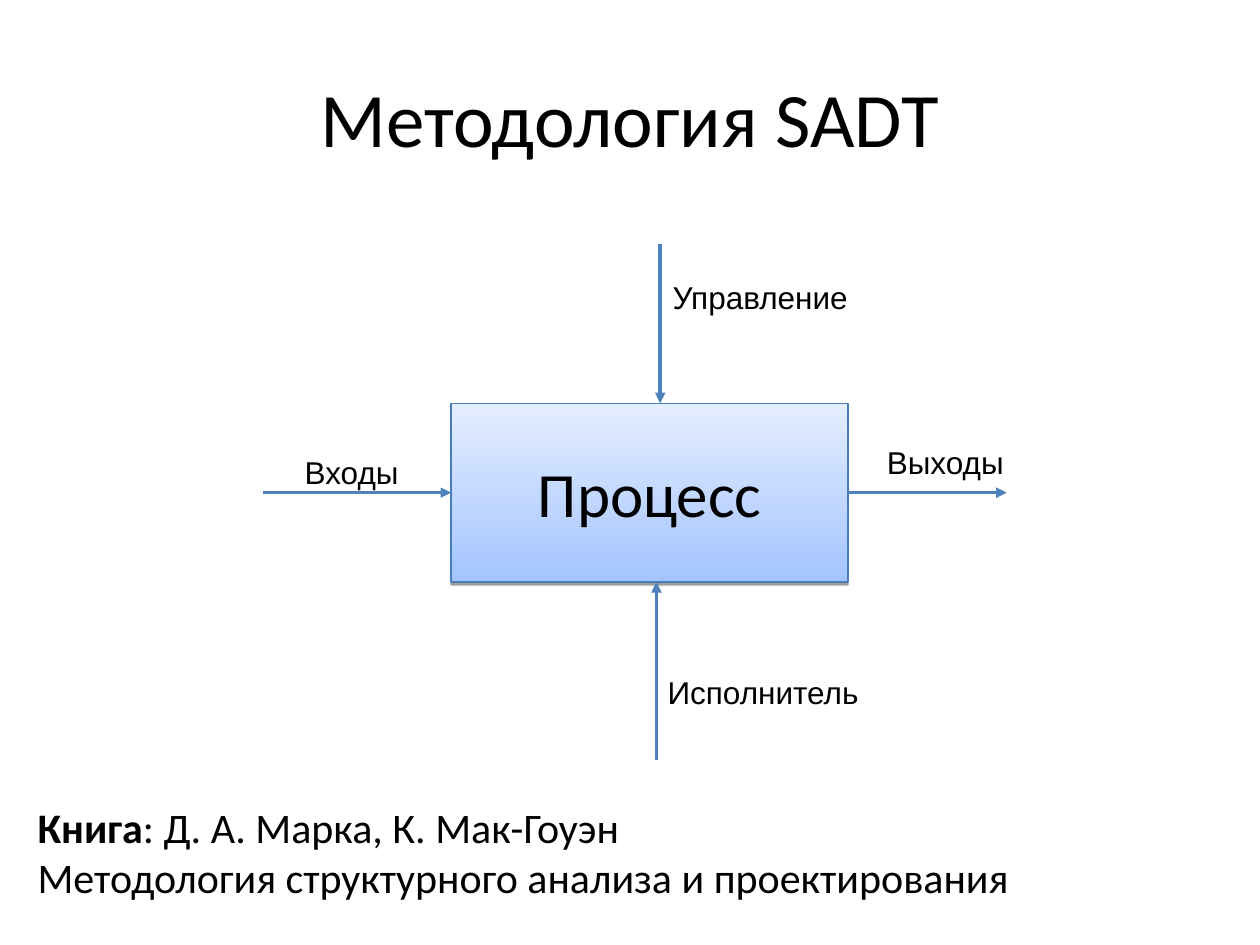
from lxml import etree
from pptx import Presentation
from pptx import util as u
from pptx.dml.color import RGBColor
from pptx.enum import shapes, text
from pptx.oxml.ns import qn

COLORS = {
    "ink": "000000",
    "arrow": "4F81BD",
    "border": "4A7EBB",
    "bottom": "A3C4FF",
    "top": "E5EEFF",
}
TITLE = ("Методология SADT", (0.5, 0.3, 9, 1.25))
PROCESS = ("Процесс", (3.58, 3.2, 3.15, 1.42))
BOOK = (
    [
        [("Книга", True), (": Д. А. Марка, К. Мак-Гоуэн", False)],
        [("Методология структурного анализа и проектирования", False)],
    ],
    (0.2, 6.31, 8.82, 0.9),
)
LABELS = [
    ("Входы", (2.32, 3.55, 1.02, 0.4)),
    ("Выходы", (6.94, 3.47, 1.26, 0.4)),
    ("Исполнитель", (5.2, 5.29, 1.75, 0.4)),
    ("Управление", (5.24, 2.16, 1.75, 0.4)),
]

left, top, width, height = PROCESS[1]
right, bottom, middle = left + width, top + height, top + height / 2
ARROWS = [
    (2.09, middle, left, middle),
    (right, middle, 7.99, middle),
    (5.24, 1.94, 5.24, top),
    (5.21, 6.03, 5.21, bottom),
]

TITLE_FONT = {"name": "Calibri", "size": u.Pt(44)}
PROCESS_FONT = {"name": "Calibri", "size": u.Pt(36)}
BOOK_FONT = {"name": "Calibri", "size": u.Pt(24)}
LABEL_FONT = {"name": "Arial", "size": u.Pt(18)}
CENTERED = text.PP_ALIGN.CENTER


def rgb(key):
    return RGBColor.from_string(COLORS[key])


def inches(values):
    return [u.Inches(value) for value in values]


def apply(target, values):
    for key, value in values.items():
        setattr(target, key, value)


def write(frame, lines, font, align=text.PP_ALIGN.LEFT, anchor=text.MSO_ANCHOR.TOP):
    apply(frame, {"word_wrap": True, "vertical_anchor": anchor})
    for index, line in enumerate(lines):
        paragraph = frame.add_paragraph() if index else frame.paragraphs[0]
        paragraph.alignment = align
        for words, bold in line:
            run = paragraph.add_run()
            run.text = words
            apply(run.font, {**font, "bold": bold})
            run.font.color.rgb = rgb("ink")


def add_text(slide, lines, box, font):
    frame = slide.shapes.add_textbox(*inches(box)).text_frame
    write(frame, lines, font)
    frame.auto_size = text.MSO_AUTO_SIZE.SHAPE_TO_FIT_TEXT


def add_process(slide):
    words, box = PROCESS
    process = slide.shapes.add_shape(shapes.MSO_SHAPE.RECTANGLE, *inches(box))
    process.fill.gradient()
    process.fill.gradient_angle = 90
    for stop, key in zip(process.fill.gradient_stops, ("bottom", "top")):
        stop.color.rgb = rgb(key)
    for stop, position in zip(process.fill.gradient_stops, (0, 1)):
        stop.position = position
    process.line.color.rgb = rgb("border")
    process.line.width = u.Pt(0.75)
    process.shadow.inherit = False
    effects = process.element.spPr.find(qn("a:effectLst"))
    shadow = etree.SubElement(
        effects, qn("a:outerShdw"), blurRad="0", dist=str(u.Pt(1.6)),
        dir="5400000", rotWithShape="0",
    )
    shade = etree.SubElement(shadow, qn("a:srgbClr"), val=COLORS["ink"])
    etree.SubElement(shade, qn("a:alpha"), val="38000")
    write(process.text_frame, [[(words, False)]], PROCESS_FONT, CENTERED,
          text.MSO_ANCHOR.MIDDLE)


def add_arrow(slide, ends):
    arrow = slide.shapes.add_connector(shapes.MSO_CONNECTOR.STRAIGHT, *inches(ends))
    arrow.line.color.rgb = rgb("arrow")
    arrow.line.width = u.Pt(2)
    properties = arrow.element.spPr
    etree.SubElement(properties.find(qn("a:ln")), qn("a:tailEnd"), type="triangle")
    etree.SubElement(properties, qn("a:effectLst"))


def main():
    deck = Presentation()
    apply(deck, {"slide_width": u.Inches(10), "slide_height": u.Inches(7.5)})
    slide = deck.slides.add_slide(deck.slide_layouts[5])

    heading, box = TITLE
    title = slide.shapes.title
    apply(title, dict(zip(("left", "top", "width", "height"), inches(box))))
    write(title.text_frame, [[(heading, False)]], TITLE_FONT, CENTERED,
          text.MSO_ANCHOR.MIDDLE)

    add_process(slide)
    add_text(slide, *BOOK, BOOK_FONT)
    for ends in ARROWS:
        add_arrow(slide, ends)
    for words, box in LABELS:
        add_text(slide, [[(words, False)]], box, LABEL_FONT)

    deck.save("out.pptx")


if __name__ == "__main__":
    main()
